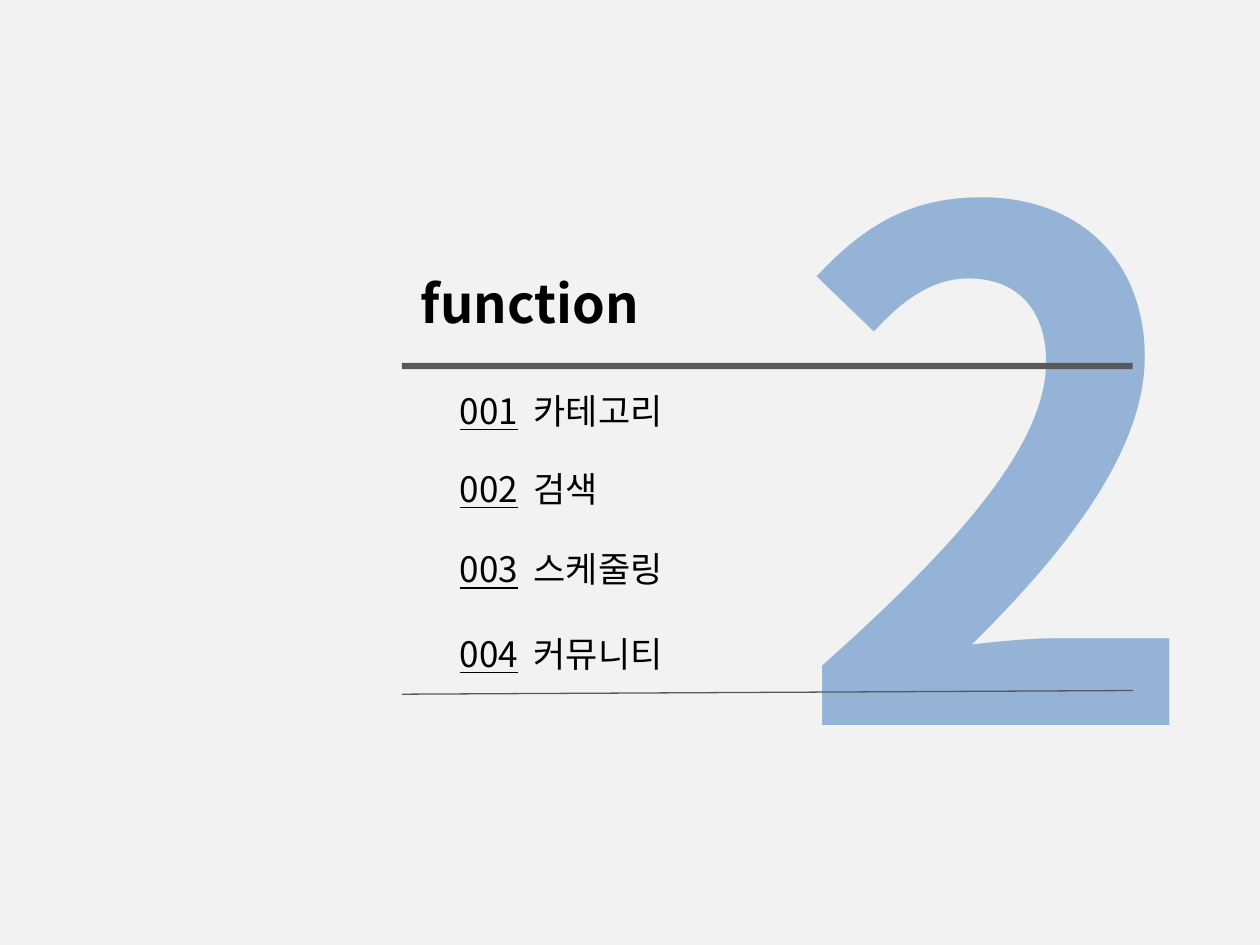
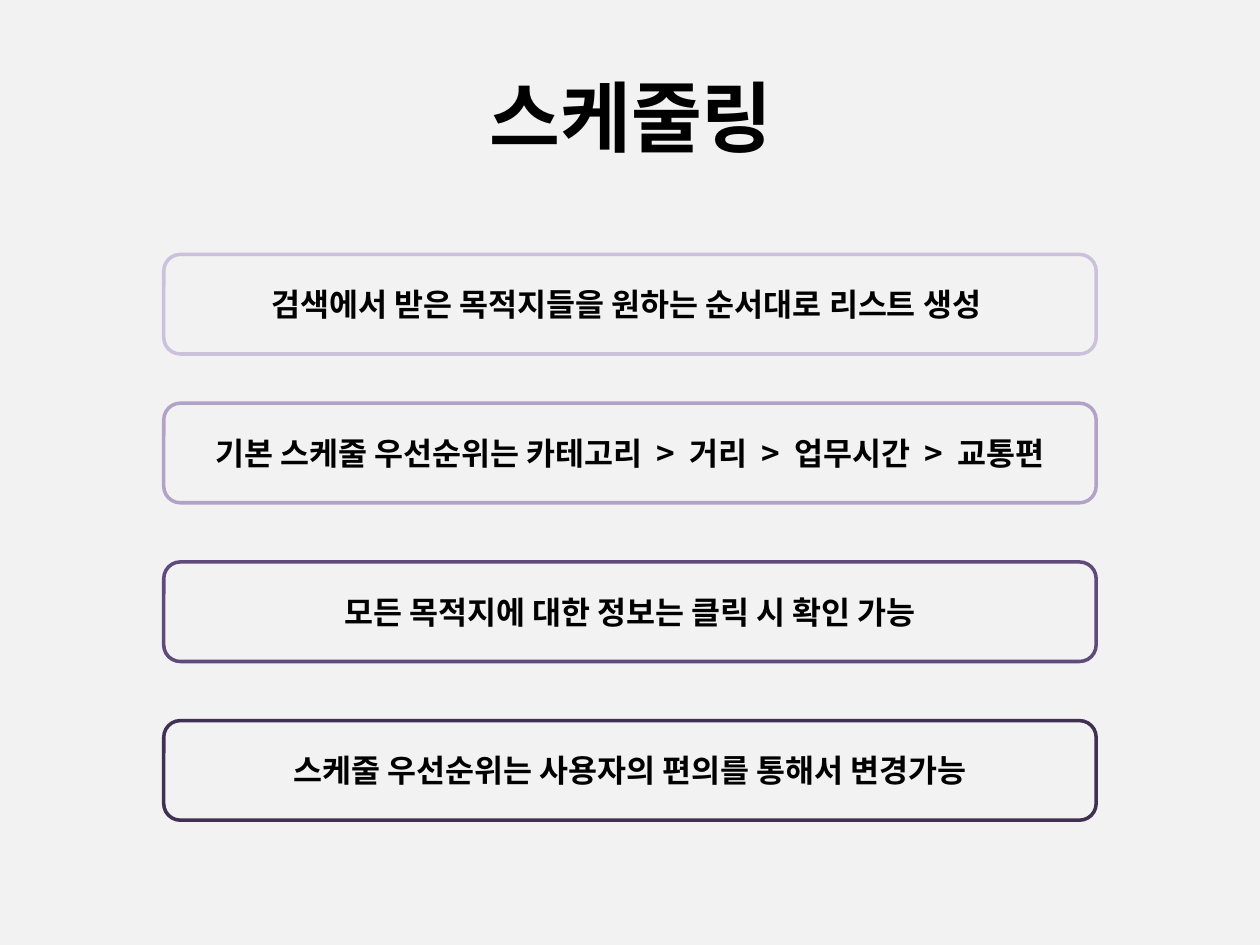
from lxml import etree
from pptx import Presentation
from pptx.dml.color import RGBColor
from pptx.enum.shapes import MSO_CONNECTOR, MSO_SHAPE
from pptx.enum.text import MSO_ANCHOR, MSO_AUTO_SIZE, PP_ALIGN
from pptx.oxml.ns import qn
from pptx.util import Pt

LINE = MSO_CONNECTOR.STRAIGHT
RECT, ROUND = MSO_SHAPE.RECTANGLE, MSO_SHAPE.ROUNDED_RECTANGLE
TOP, MIDDLE = MSO_ANCHOR.TOP, MSO_ANCHOR.MIDDLE
GROW, FIXED = MSO_AUTO_SIZE.SHAPE_TO_FIT_TEXT, MSO_AUTO_SIZE.NONE
LEFT, CENTER = PP_ALIGN.LEFT, PP_ALIGN.CENTER

FONT = "Noto Sans CJK KR"
PAPER = RGBColor(0xF2, 0xF2, 0xF2)
INK = RGBColor(0x00, 0x00, 0x00)
BLUE = RGBColor(0x95, 0xB3, 0xD7)
GRAY = RGBColor(0x59, 0x59, 0x59)
LILAC = RGBColor(0xCC, 0xC1, 0xDA)
MAUVE = RGBColor(0xB3, 0xA2, 0xC7)
PURPLE = RGBColor(0x60, 0x4A, 0x7B)
PLUM = RGBColor(0x40, 0x31, 0x52)

# Section slide: number, heading, and (top, label, width) of each topic
NUMBER, HEADING = "2", "function"
TOPICS = [
    (218.9, "카테고리", 139.7),
    (263.5, "검색", 99.4),
    (309.6, "스케줄링", 139.7),
    (357.8, "커뮤니티", 139.7),
]
RULE_X, RULE_W = 229.7, 417.6

# Detail slide: (top, outline, text) of each box; a list holds ranked steps
TITLE = "스케줄링"
BOXES = [
    (145.4, LILAC, "검색에서 받은 목적지들을 원하는 순서대로 리스트 생성 "),
    (230.4, MAUVE, ["기본 스케줄 우선순위는 카테고리", "거리", "업무시간", "교통편"]),
    (321.1, PURPLE, "모든 목적지에 대한 정보는 클릭 시 확인 가능"),
    (411.8, PLUM, "스케줄 우선순위는 사용자의 편의를 통해서 변경가능"),
]
BOX_X, BOX_W, BOX_H = 93.6, 532.8, 56.9


def write(shape, text, size, color=INK, bold=False, under=0,
          align=LEFT, anchor=TOP, wrap=True):
    """Fill a shape with a string or runs; the first `under` runs are underlined."""
    frame = shape.text_frame
    frame.word_wrap = wrap
    frame.auto_size = FIXED if wrap else GROW
    frame.vertical_anchor = anchor
    para = frame.paragraphs[0]
    para.alignment = align
    for i, part in enumerate([text] if isinstance(text, str) else text):
        run = para.add_run()
        run.text = part
        font = run.font
        font.name, font.size, font.bold = FONT, Pt(size), bold
        font.color.rgb = color
        font.underline = i < under
        props = run._r.get_or_add_rPr()
        if part == " ":  # a gap between runs is twice as wide as a word space
            props.set("spc", str(round(size * 22.4)))
        etree.SubElement(props, qn("a:ea")).set("typeface", FONT)


def label(slide, box, text, size, **style):
    shape = slide.shapes.add_textbox(*map(Pt, box))
    write(shape, text, size, **style)


def rank(steps):
    """Runs for steps joined by a spaced sign."""
    runs = [steps[0]]
    for step in steps[1:]:
        runs += [" ", ">", " ", step]
    return runs


def start(deck):
    slide = deck.slides.add_slide(deck.slide_layouts[6])
    slide.background.fill.solid()
    slide.background.fill.fore_color.rgb = PAPER
    return slide


def section(deck):
    slide = start(deck)
    label(slide, (445.7, 10.8, 248.4, 491.8), NUMBER, 400,
          color=BLUE, bold=True, wrap=False)
    bar = slide.shapes.add_shape(RECT, Pt(RULE_X), Pt(207.4), Pt(RULE_W), Pt(3.6))
    bar.shadow.inherit = False
    bar.fill.solid()
    bar.fill.fore_color.rgb = GRAY
    bar.line.fill.background()
    label(slide, (233.3, 151.2, 146.9, 43.9), HEADING, 30, bold=True, wrap=False)

    rule = slide.shapes.add_connector(
        LINE, Pt(RULE_X), Pt(396.7), Pt(RULE_X + RULE_W), Pt(394.6))
    rule.line.color.rgb = GRAY
    rule.line.width = Pt(0.75)
    etree.SubElement(rule._element.spPr, qn("a:effectLst"))

    for i, (top, name, width) in enumerate(TOPICS, 1):
        label(slide, (255.6, top, width, 31.7), [f"{i:03}", " ", name], 20,
              under=1, wrap=False)


def detail(deck):
    slide = start(deck)
    label(slide, (36.7, 20.9, 648, 90), TITLE, 44,
          bold=True, align=CENTER, anchor=MIDDLE)
    for top, color, text in BOXES:
        box = slide.shapes.add_shape(ROUND, Pt(BOX_X), Pt(top), Pt(BOX_W), Pt(BOX_H))
        box.shadow.inherit = False
        box.fill.background()
        box.line.color.rgb = color
        box.line.width = Pt(2)
        runs = text if isinstance(text, str) else rank(text)
        write(box, runs, 18, bold=True, align=CENTER, anchor=MIDDLE)


def main():
    deck = Presentation()
    deck.slide_width, deck.slide_height = Pt(720), Pt(540)
    section(deck)
    detail(deck)
    deck.save("out.pptx")


if __name__ == "__main__":
    main()
